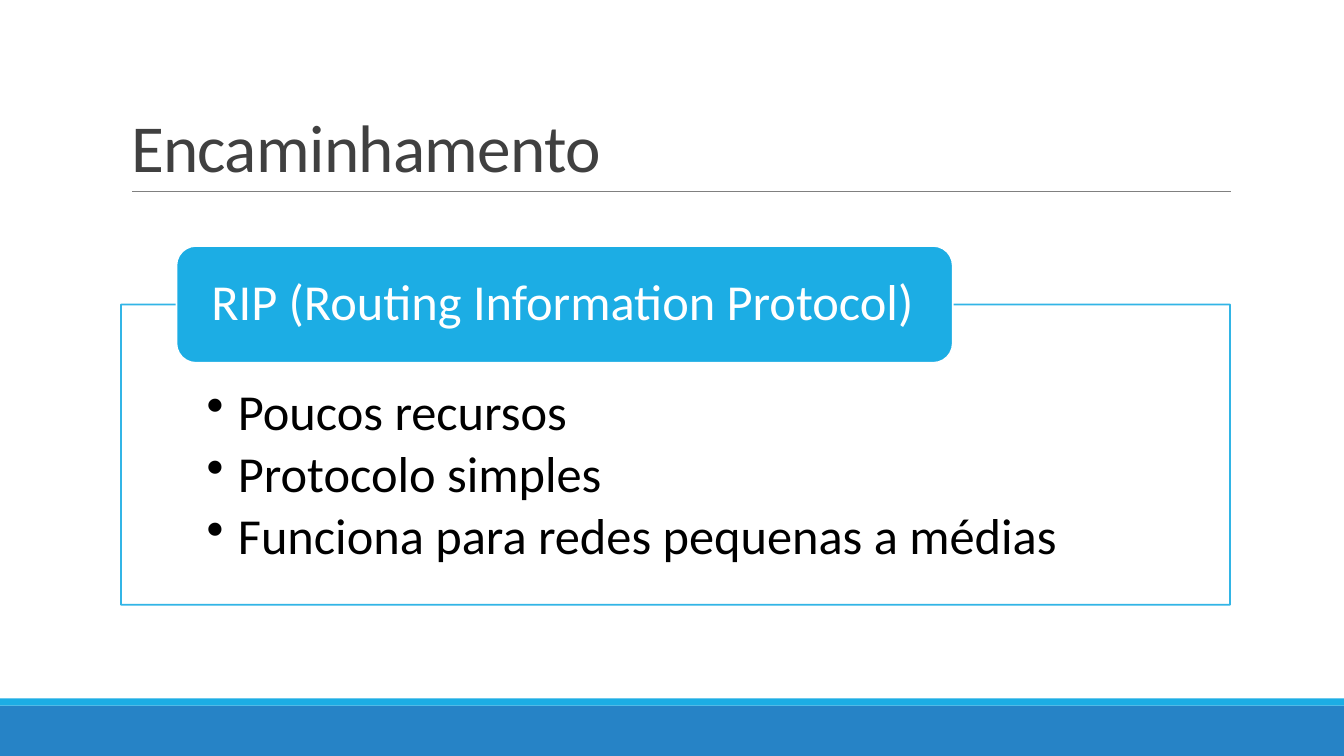
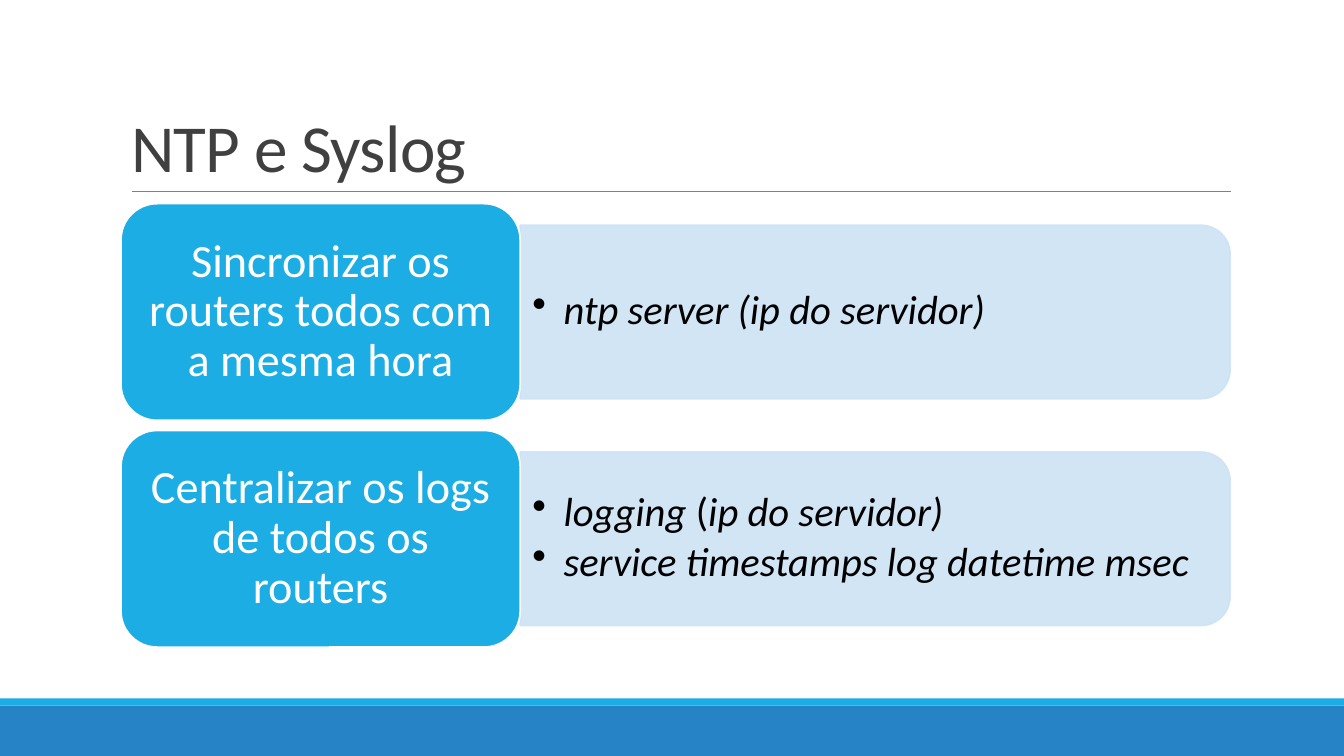
from lxml import etree
from pptx import Presentation
from pptx.dml.color import RGBColor
from pptx.enum.shapes import MSO_CONNECTOR, MSO_SHAPE
from pptx.enum.text import MSO_ANCHOR, MSO_AUTO_SIZE, PP_ALIGN
from pptx.oxml.ns import qn
from pptx.util import Inches, Pt

RECT, ROUND, TAB = MSO_SHAPE.RECTANGLE, MSO_SHAPE.ROUNDED_RECTANGLE, MSO_SHAPE.ROUND_2_SAME_RECTANGLE
TOP, MID, LOW = MSO_ANCHOR.TOP, MSO_ANCHOR.MIDDLE, MSO_ANCHOR.BOTTOM
LEFT, MIDST = PP_ALIGN.LEFT, PP_ALIGN.CENTER

TOPIC = {
    "title": "Encaminhamento",
    "head": "RIP (Routing Information Protocol)",
    "points": ["Poucos recursos", "Protocolo simples", "Funciona para redes pequenas a médias"],
}
TASKS = {
    "title": "NTP e Syslog",
    "rows": [
        ("Sincronizar os routers todos com a mesma hora",
         [[("ntp server (ip do servidor)", True)]]),
        ("Centralizar os logs de todos os routers",
         [[("logging", True), (" (", False), ("ip do servidor)", True)],
          [("service timestamps log datetime msec", True)]]),
    ],
}
HEX = {"band": "2683C6", "main": "1CADE4", "rule": "808080", "title": "404040",
       "pale": "CDE3F5", "white": "FFFFFF", "black": "000000"}
FONT = "Calibri"
WIDE, HIGH = 13.33, 7.5
EDGE, SPAN = 1.2, 11
STYLES = {
    "title": {"size": 48, "color": "title", "lead": 0.85, "anchor": LOW, "pad": (0.1, 0.05), "track": -50},
    "head": {"size": 36, "color": "white", "after": 0.35, "anchor": MID, "pad": (0.29, 0)},
    "points": {"size": 36, "color": "black", "after": 0.15, "anchor": TOP, "pad": (0.85, 0.82, 0.85, 0.28),
               "bullet": True},
    "task": {"size": 33, "color": "white", "after": 0.35, "anchor": MID, "pad": (0.14, 0.07), "align": MIDST},
    "command": {"size": 29, "color": "black", "after": 0.15, "anchor": MID, "pad": (0.12, 0.06), "bullet": True},
}


def rgb(name):
    return RGBColor.from_string(HEX[name])


def place(*box):
    return [Inches(v) for v in box]


def fade(shape):
    for clr in shape.element.spPr.iter(qn("a:srgbClr")):
        etree.SubElement(clr, qn("a:alpha")).set("val", "90000")


def draw(slide, kind, box, fill, line=None):
    shape = slide.shapes.add_shape(kind, *place(*box))
    shape.shadow.inherit = False
    shape.fill.solid()
    shape.fill.fore_color.rgb = rgb(fill)
    if line:
        shape.line.color.rgb = rgb(line)
        shape.line.width = Pt(1.25)
    else:
        shape.line.fill.background()
    return shape


def write(shape, paras, style):
    look = STYLES[style]
    frame = shape.text_frame
    pad = look["pad"]
    pad = pad if len(pad) == 4 else pad * 2
    sides = ("margin_left", "margin_top", "margin_right", "margin_bottom")
    form = dict(zip(sides, place(*pad)), word_wrap=True, auto_size=MSO_AUTO_SIZE.NONE,
                vertical_anchor=look["anchor"])
    for key, val in form.items():
        setattr(frame, key, val)
    for i, runs in enumerate(paras):
        para = frame.add_paragraph() if i else frame.paragraphs[0]
        form = {"alignment": look.get("align", LEFT), "line_spacing": look.get("lead", 0.9),
                "space_before": Pt(0), "space_after": Pt(look["size"] * look.get("after", 0))}
        for key, val in form.items():
            setattr(para, key, val)
        if look.get("bullet"):
            props = para._p.get_or_add_pPr()
            props.set("marL", str(Inches(0.31)))
            props.set("indent", str(-Inches(0.31)))
            etree.SubElement(props, qn("a:buChar")).set("char", "•")
        for text, slant in runs:
            run = para.add_run()
            run.text = text
            for key, val in {"name": FONT, "size": Pt(look["size"]), "italic": slant}.items():
                setattr(run.font, key, val)
            run.font.color.rgb = rgb(look["color"])
            if "track" in look:
                run._r.get_or_add_rPr().set("spc", str(look["track"]))


def plain(*texts):
    return [[(text, False)] for text in texts]


def start(deck, layout, title):
    slide = deck.slides.add_slide(layout)
    head = slide.shapes.title
    head.left, head.top, head.width, head.height = place(EDGE, 0.31, SPAN, 1.59)
    write(head, plain(title), "title")
    return slide


def share(slide, layout):
    rule = slide.shapes.add_connector(MSO_CONNECTOR.STRAIGHT, *place(1.31, 1.9, 12.21, 1.9))
    rule.line.color.rgb = rgb("rule")
    rule.line.width = Pt(0.5)
    etree.SubElement(rule.element.spPr, qn("a:effectLst"))
    parts = [draw(slide, RECT, (0, 7, WIDE, HIGH - 7), "band"),
             draw(slide, RECT, (0, 6.93, WIDE, 0.07), "main"), rule]
    for num, part in enumerate(parts, 50):
        next(part.element.iter(qn("p:cNvPr"))).set("id", str(num))
        layout.shapes.element.append(part.element)


def topic(slide, data):
    top, head = 3.02, 1.16
    box = draw(slide, RECT, (EDGE, top, SPAN, 2.98), "white", "main")
    fade(box)
    write(box, plain(*data["points"]), "points")
    label = draw(slide, ROUND, (EDGE + SPAN * 0.05, top - head / 2, SPAN * 0.7, head), "main", "white")
    write(label, plain(data["head"]), "head")


def tasks(slide, data):
    tall, step = 2.15, 2.25
    left, wide, deep = SPAN * 0.36, SPAN * 0.64, tall * 0.8
    for i, (name, lines) in enumerate(data["rows"]):
        top = 2.02 + i * step
        mid = top + tall / 2
        edge = EDGE + left
        tab = draw(slide, TAB, (edge + (wide - deep) / 2, mid - wide / 2, deep, wide), "pale", "pale")
        tab.rotation = 90
        fade(tab)
        note = slide.shapes.add_textbox(*place(edge, mid - 0.78, wide - 0.08, 1.55))
        write(note, lines, "command")
        label = draw(slide, ROUND, (EDGE, top, left, tall), "main", "white")
        write(label, plain(name), "task")


deck = Presentation()
deck.slide_width, deck.slide_height = place(WIDE, HIGH)
layout = deck.slide_layouts[5]
first = start(deck, layout, TOPIC["title"])
share(first, layout)
topic(first, TOPIC)
tasks(start(deck, layout, TASKS["title"]), TASKS)
deck.save("out.pptx")
